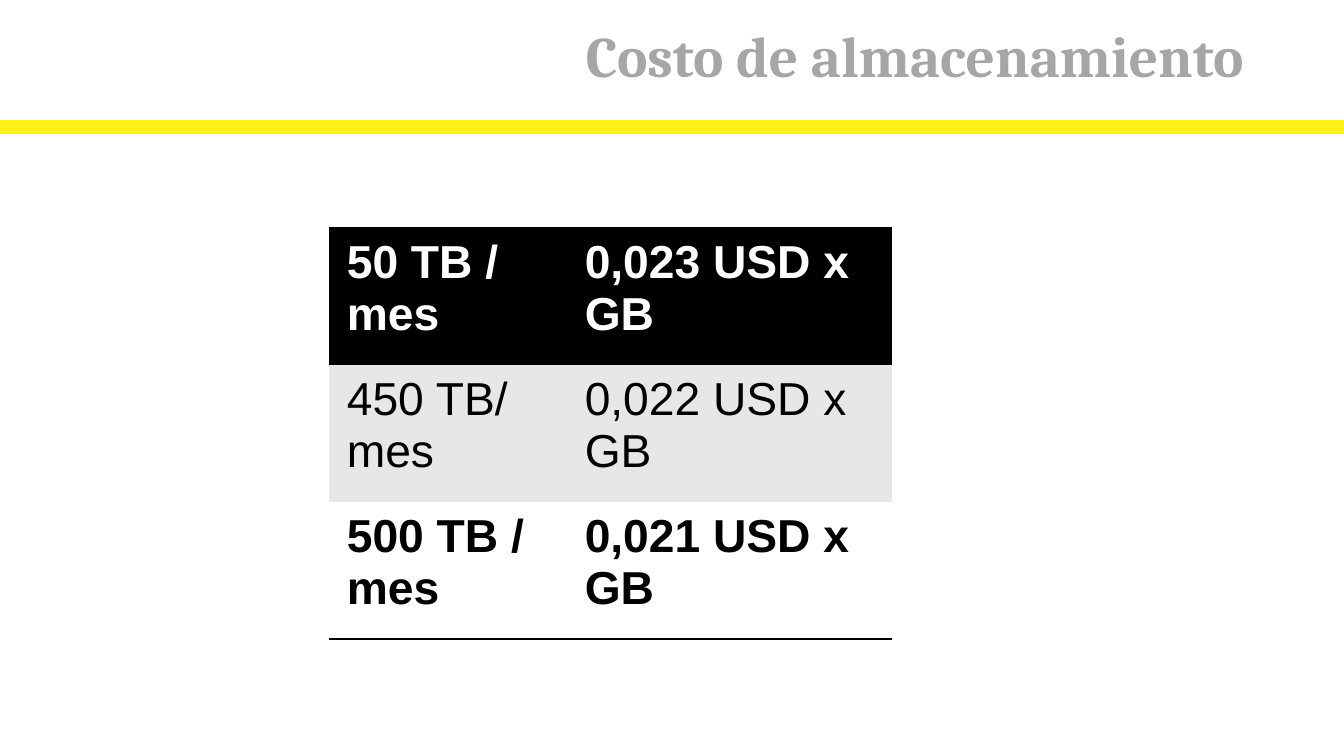
"""Build the storage cost slide: title, yellow rule and price table."""
from lxml.etree import SubElement
from pptx import Presentation
from pptx.dml.color import RGBColor
from pptx.enum.shapes import MSO_SHAPE
from pptx.oxml.ns import qn
from pptx.util import Inches, Pt

WIDTH, HEIGHT = Inches(13.33), Inches(7.5)
COLORS = {"yellow": "FFF115", "title": "A6A6A6", "black": "000000",
          "white": "FFFFFF", "band": "E7E7E7"}
PLAIN_TABLE_STYLE = "{2D5ABB26-0587-4C30-8999-92F81FD0307C}"
MARGINS = ("margin_left", "margin_top", "margin_right", "margin_bottom")
PRICES = [
    ("50 TB / mes", "0,023 USD x GB", "white", "black", True, "lnT"),
    ("450 TB/ mes", "0,022 USD x GB", "black", "band", False, None),
    ("500 TB / mes", "0,021 USD x GB", "black", "white", True, "lnB"),
]


def rgb(color):
    return RGBColor.from_string(COLORS[color])


def apply(target, values):
    for name, value in values.items():
        setattr(target, name, value)


def write(frame, words, color, **font):
    run = frame.paragraphs[0].add_run()
    run.text = words
    apply(run.font, font)
    run.font.color.rgb = rgb(color)


def paint(fill, color):
    fill.solid()
    fill.fore_color.rgb = rgb(color)


def add_rule(slide):
    rule = slide.shapes.add_shape(MSO_SHAPE.RECTANGLE, 0, int(HEIGHT * 0.16),
                                  WIDTH, Inches(0.13))
    rule.shadow.inherit = False
    paint(rule.fill, "yellow")
    paint(rule.line.fill, "yellow")
    rule.line.width = Pt(0.75)


def add_title(slide):
    title = slide.shapes.add_textbox(Inches(5.81), Inches(0.2),
                                     Inches(6.85), Inches(0.71))
    frame = title.text_frame
    apply(frame, {"word_wrap": True, **dict.fromkeys(MARGINS, 0)})
    write(frame, "Costo de almacenamiento", "title",
          name="Cambria", size=Pt(41), bold=True)


def add_border(cell, side):
    properties = cell._tc.get_or_add_tcPr()
    border = SubElement(properties, qn(f"a:{side}"), w=str(Pt(2)))
    ink = SubElement(border, qn("a:solidFill"))
    SubElement(ink, qn("a:srgbClr"), val=COLORS["black"])
    properties.insert(0, border)


def add_prices(slide):
    widths = [Inches(2.36), Inches(3.23)]
    table = slide.shapes.add_table(len(PRICES), len(widths), Inches(3.26),
                                   Inches(2.26), sum(widths),
                                   Inches(1.36) * len(PRICES)).table
    table._tbl.tblPr.find(qn("a:tableStyleId")).text = PLAIN_TABLE_STYLE
    apply(table, {"first_row": False, "horz_banding": False})
    for column, width in zip(table.columns, widths):
        column.width = width
    insets = dict(zip(MARGINS, [Inches(0.18), Inches(0.09)] * 2))
    for row, (*labels, ink, ground, bold, side) in zip(table.rows, PRICES):
        for cell, label in zip(row.cells, labels):
            apply(cell, insets)
            paint(cell.fill, ground)
            write(cell.text_frame, label, ink,
                  name="Arial", size=Pt(33), bold=bold)
            if side:
                add_border(cell, side)


def main():
    deck = Presentation()
    apply(deck, {"slide_width": WIDTH, "slide_height": HEIGHT})
    slide = deck.slides.add_slide(deck.slide_layouts[6])
    add_rule(slide)
    add_title(slide)
    add_prices(slide)
    deck.save("out.pptx")


if __name__ == "__main__":
    main()
